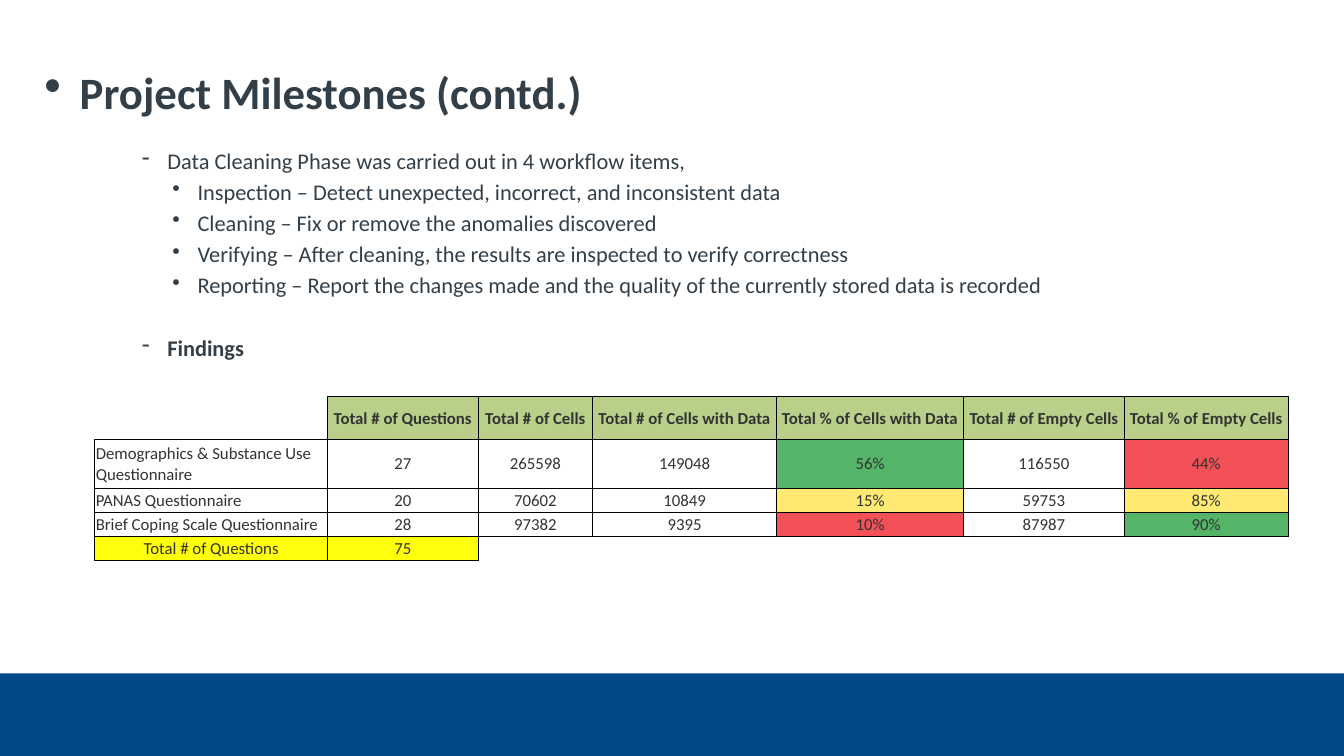
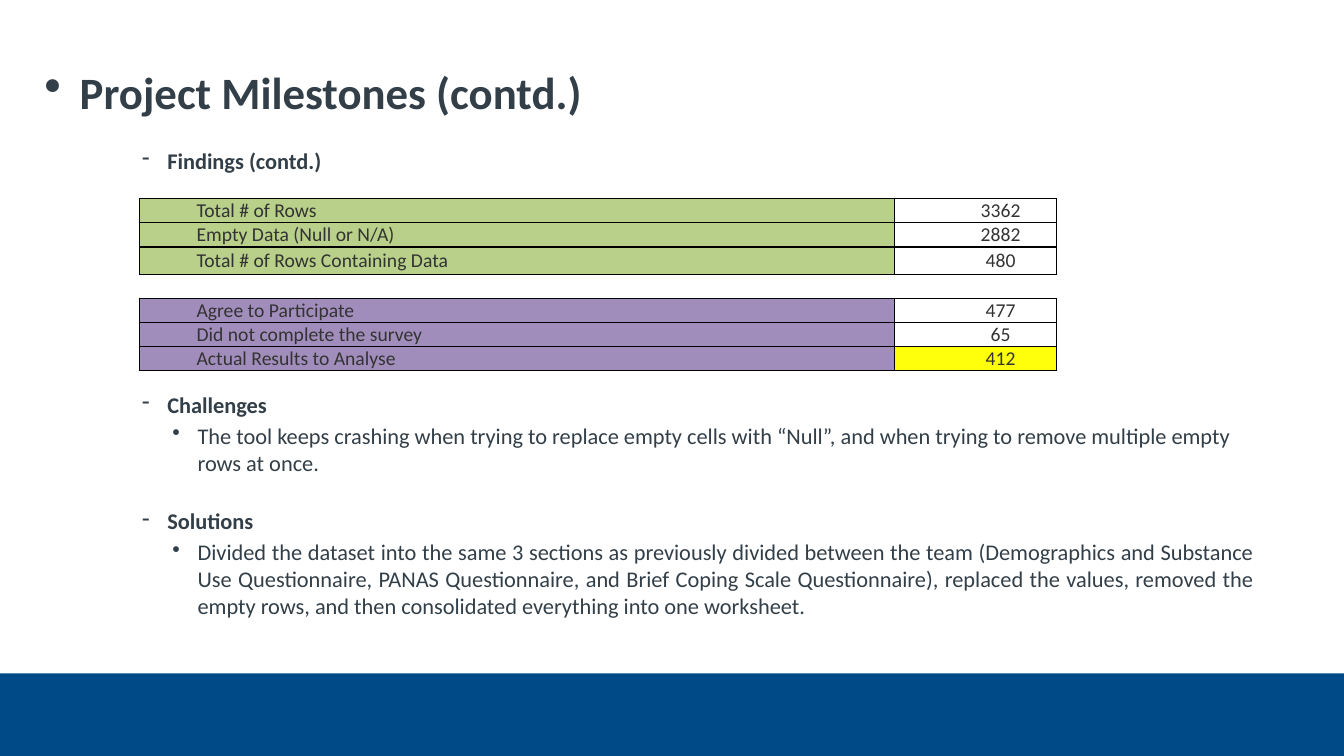
from lxml import etree
from pptx import Presentation
from pptx.dml.color import RGBColor
from pptx.enum import shapes, text
from pptx.oxml import ns
from pptx.util import Inches, Pt

FONT = "Calibri"
SLATE = RGBColor(0x33, 0x3F, 0x48)
CHARCOAL = RGBColor(0x33, 0x33, 0x33)
NAVY = RGBColor(0x00, 0x4B, 0x87)
WHITE = RGBColor(0xFF, 0xFF, 0xFF)
LIME = RGBColor(0xB8, 0xD0, 0x89)
PURPLE = RGBColor(0xA1, 0x8D, 0xBB)
GREEN = RGBColor(0x54, 0xB4, 0x68)
AMBER = RGBColor(0xFF, 0xE9, 0x72)
RED = RGBColor(0xF3, 0x50, 0x58)
YELLOW = RGBColor(0xFF, 0xFF, 0x0B)

LEFT, CENTER, JUSTIFY = (text.PP_ALIGN.LEFT, text.PP_ALIGN.CENTER,
                         text.PP_ALIGN.JUSTIFY)
# Border tag and the row/column step to the neighbour on that side
SIDES = (("a:lnL", 0, -1), ("a:lnR", 0, 1), ("a:lnT", -1, 0), ("a:lnB", 1, 0))
BODY_LEFT, BODY_WIDTH = 0.96, 11.48
LINE_GAP = 3


def style_run(r, size, color, bold=False):
    r.font.name = FONT
    r.font.size = Pt(size)
    r.font.bold = bold
    r.font.color.rgb = color


def set_bullet(p, char, indent, hanging, percent=100):
    pPr = p._p.get_or_add_pPr()
    pPr.set("marL", str(Inches(indent)))
    pPr.set("indent", str(-Inches(hanging)))
    etree.SubElement(pPr, ns.qn("a:buSzPct")).set("val", str(percent * 1000))
    etree.SubElement(pPr, ns.qn("a:buChar")).set("char", char)


def add_text_frame(s, left, top, width, height):
    tf = s.shapes.add_textbox(Inches(left), Inches(top),
                              Inches(width), Inches(height)).text_frame
    tf.word_wrap = True
    tf.margin_left = tf.margin_right = tf.margin_top = tf.margin_bottom = 0
    return tf


def add_milestone_slide(prs):
    """Add a slide with the shared title and bottom band."""
    s = prs.slides.add_slide(prs.slide_layouts[6])
    band = s.shapes.add_shape(shapes.MSO_SHAPE.RECTANGLE, 0, Inches(6.68),
                              prs.slide_width, Inches(0.82))
    band.shadow.inherit = False
    band.fill.solid()
    band.fill.fore_color.rgb = NAVY
    band.line.fill.background()

    p = add_text_frame(s, 0.44, 0.64, 11.99, 0.82).paragraphs[0]
    p.text = "Project Milestones (contd.)"
    set_bullet(p, "•", 0.35, 0.35, 110)
    style_run(p.runs[0], 32, SLATE, True)
    return s


def add_outline(s, top, height, sections):
    """Write (heading, bold, gap before, alignment, items) sections."""
    tf = add_text_frame(s, BODY_LEFT, top, BODY_WIDTH, height)
    p = tf.paragraphs[0]
    for i, (heading, bold, gap, align, items) in enumerate(sections):
        if i:
            p = tf.add_paragraph()
            p.space_before = Pt(gap)
        p.text = heading
        set_bullet(p, "-", 0.7, 0.25)
        style_run(p.runs[0], 16, SLATE, bold)
        for item in items:
            p = tf.add_paragraph()
            p.text = item
            p.space_before = Pt(LINE_GAP)
            p.alignment = align
            set_bullet(p, "•", 1, 0.25)
            style_run(p.runs[0], 16, SLATE)


def set_border(cell, tag, width, visible):
    ln = etree.SubElement(cell._tc.get_or_add_tcPr(), ns.qn(tag))
    ln.set("w", str(Pt(width)))
    if visible:
        fill = etree.SubElement(ln, ns.qn("a:solidFill"))
        etree.SubElement(fill, ns.qn("a:srgbClr")).set("val", "000000")
    else:
        etree.SubElement(ln, ns.qn("a:noFill"))


def add_grid(s, left, top, widths, heights, rows, size, border, margins,
             fill_of, align_of, bold_header=False):
    """Add a table whose borders surround only the cells holding text."""
    table = s.shapes.add_table(len(rows), len(widths), Inches(left),
                               Inches(top), Inches(sum(widths)),
                               Inches(sum(heights))).table
    table.first_row = table.horz_banding = False
    for column, width in zip(table.columns, widths):
        column.width = Inches(width)
    for row, height in zip(table.rows, heights):
        row.height = Inches(height)
    filled = {(i, j) for i, row in enumerate(rows)
              for j, value in enumerate(row) if value}

    for i, row in enumerate(rows):
        for j, value in enumerate(row):
            cell = table.cell(i, j)
            cell.vertical_anchor = text.MSO_ANCHOR.MIDDLE
            (cell.margin_left, cell.margin_top, cell.margin_right,
             cell.margin_bottom) = map(Inches, margins)
            for tag, di, dj in SIDES:
                set_border(cell, tag, border,
                           bool(filled & {(i, j), (i + di, j + dj)}))
            cell.fill.solid()
            cell.fill.fore_color.rgb = fill_of(i, j) if value else WHITE
            p = cell.text_frame.paragraphs[0]
            if value:
                p.text = value
                p.alignment = align_of(i, j)
                style_run(p.runs[0], size, CHARCOAL, bold_header and i == 0)
            else:
                p._p.get_or_add_endParaRPr().set("sz", str(size * 100))


def add_questionnaire_table(s):
    rows = [
        ("", "Total # of Questions", "Total # of Cells",
         "Total # of Cells with Data", "Total % of Cells with Data",
         "Total # of Empty Cells", "Total % of Empty Cells"),
        ("Demographics & Substance Use Questionnaire",
         "27", "265598", "149048", "56%", "116550", "44%"),
        ("PANAS Questionnaire",
         "20", "70602", "10849", "15%", "59753", "85%"),
        ("Brief Coping Scale Questionnaire",
         "28", "97382", "9395", "10%", "87987", "90%"),
        ("Total # of Questions", "75", "", "", "", "", ""),
    ]
    ratings = {(1, 4): GREEN, (1, 6): RED, (2, 4): AMBER, (2, 6): AMBER,
               (3, 4): RED, (3, 6): GREEN}
    row_fills = {0: LIME, len(rows) - 1: YELLOW}
    add_grid(
        s, 0.94, 3.93, [2.31, 1.49, 1.14, 1.82, 1.86, 1.59, 1.63],
        [0.43, 0.48, 0.24, 0.24, 0.24], rows, 12, 0.5, (0.01, 0.01, 0.01, 0),
        lambda i, j: ratings.get((i, j), row_fills.get(i, WHITE)),
        lambda i, j: LEFT if j == 0 and i not in row_fills else CENTER,
        bold_header=True)


def add_row_count_table(s):
    rows = [
        ("Total # of Rows", "3362"),
        ("Empty Data (Null or N/A)", "2882"),
        ("Total # of Rows Containing Data", "480"),
        ("", ""),
        ("Agree to Participate", "477"),
        ("Did not complete the survey", "65"),
        ("Actual Results to Analyse", "412"),
    ]
    last = len(rows) - 1

    def fill_of(i, j):
        if j == 0:
            return LIME if i < 3 else PURPLE
        return YELLOW if i == last else WHITE

    add_grid(s, 1.38, 1.97, [7.49, 1.61],
             [0.24, 0.24, 0.27, 0.24, 0.24, 0.24, 0.24], rows, 14, 1,
             (0.57, 0, 0.07, 0), fill_of,
             lambda i, j: CENTER if j else JUSTIFY)


def main():
    prs = Presentation()
    prs.slide_width, prs.slide_height = Inches(13.33), Inches(7.5)

    s = add_milestone_slide(prs)
    add_outline(s, 1.46, 2.3, [
        ("Data Cleaning Phase was carried out in 4 workflow items,",
         False, 0, LEFT, [
             "Inspection – Detect unexpected, incorrect, and inconsistent data",
             "Cleaning – Fix or remove the anomalies discovered",
             "Verifying – After cleaning, the results are inspected to verify "
             "correctness",
             "Reporting – Report the changes made and the quality of the "
             "currently stored data is recorded",
         ]),
        ("Findings", True, 25.5, LEFT, []),
    ])
    add_questionnaire_table(s)

    s = add_milestone_slide(prs)
    add_outline(s, 1.46, 0.4, [("Findings (contd.)", True, 0, LEFT, [])])
    add_row_count_table(s)
    add_outline(s, 3.88, 2.5, [
        ("Challenges", True, 0, LEFT, [
            "The tool keeps crashing when trying to replace empty cells with "
            "“Null”, and when trying to remove multiple empty rows at once.",
        ]),
        ("Solutions", True, 22.5, JUSTIFY, [
            "Divided the dataset into the same 3 sections as previously "
            "divided between the team (Demographics and Substance Use "
            "Questionnaire, PANAS Questionnaire, and Brief Coping Scale "
            "Questionnaire), replaced the values, removed the empty rows, and "
            "then consolidated everything into one worksheet.",
        ]),
    ])
    prs.save("out.pptx")


if __name__ == "__main__":
    main()
